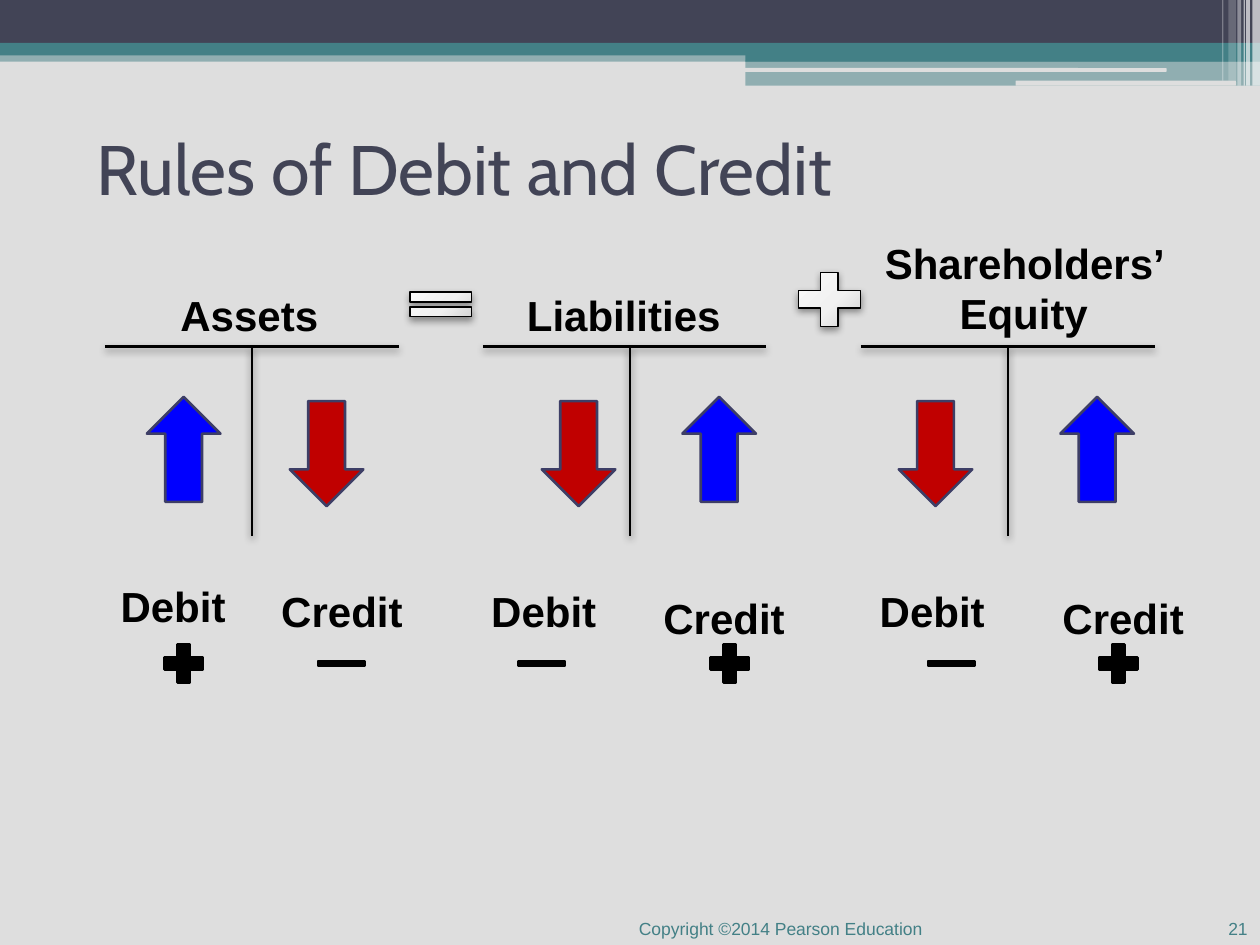
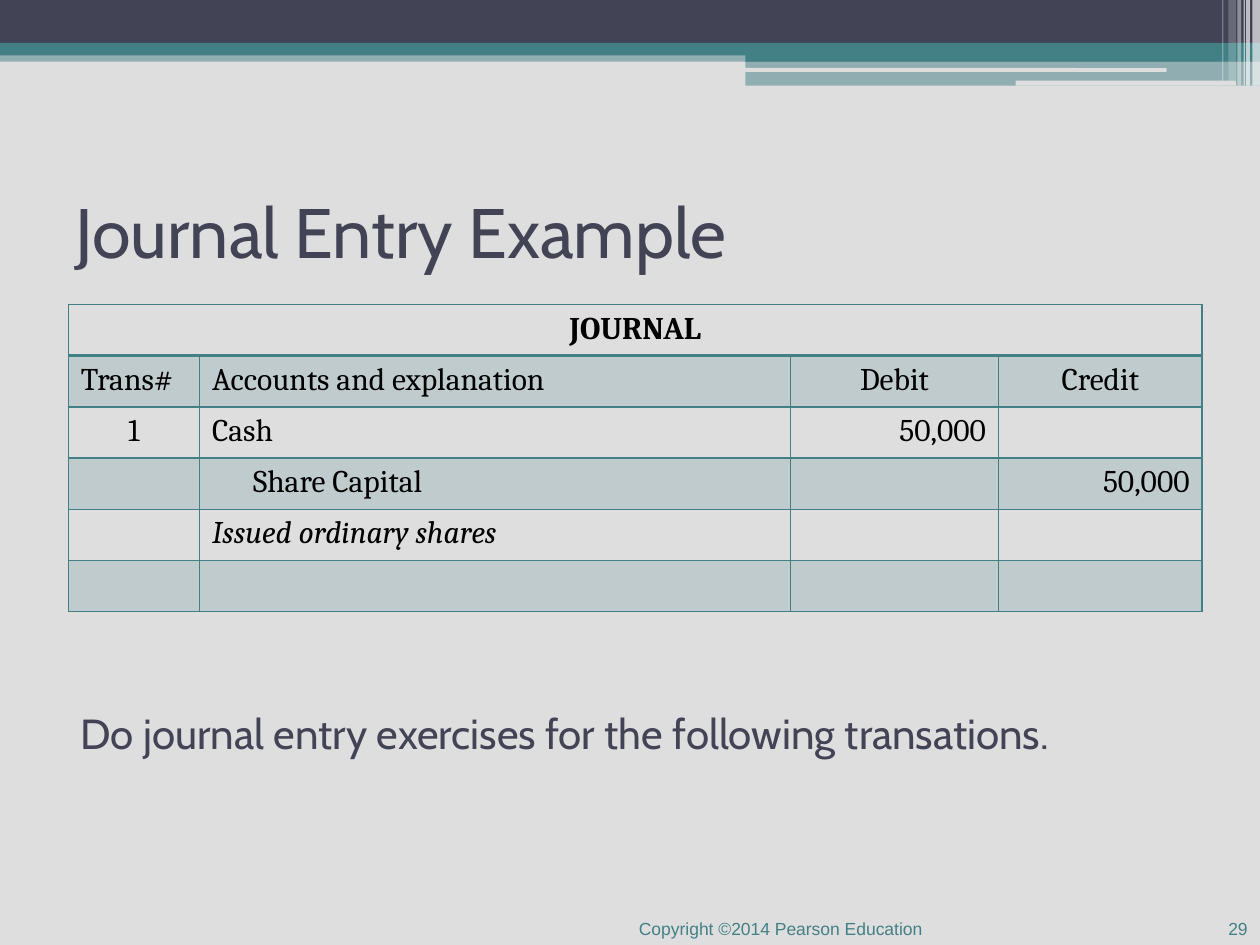
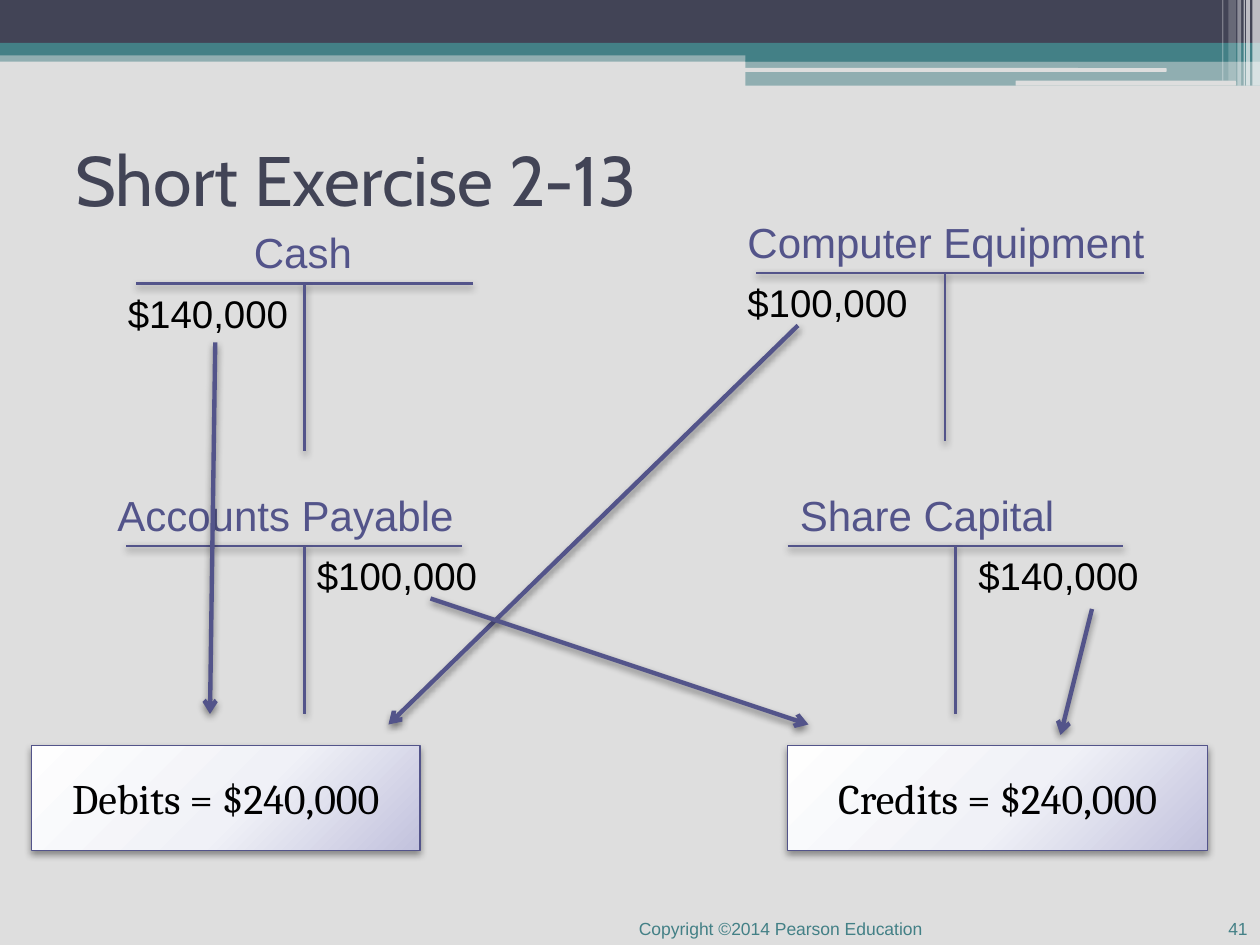
from typing import NamedTuple, Optional

from lxml import etree
from pptx import Presentation
from pptx.dml.color import RGBColor
from pptx.enum.shapes import MSO_CONNECTOR, MSO_SHAPE
from pptx.enum.text import MSO_ANCHOR, PP_ALIGN
from pptx.oxml.ns import qn
from pptx.util import Emu, Inches, Pt

RECT, ROUND_RECT = MSO_SHAPE.RECTANGLE, MSO_SHAPE.ROUNDED_RECTANGLE
UP_ARROW = MSO_SHAPE.UP_ARROW
PLUS, MINUS, EQUAL = MSO_SHAPE.MATH_PLUS, MSO_SHAPE.MATH_MINUS, MSO_SHAPE.MATH_EQUAL
STRAIGHT = MSO_CONNECTOR.STRAIGHT
LEFT, CENTER, RIGHT = PP_ALIGN.LEFT, PP_ALIGN.CENTER, PP_ALIGN.RIGHT
TOP, MIDDLE, BOTTOM = MSO_ANCHOR.TOP, MSO_ANCHOR.MIDDLE, MSO_ANCHOR.BOTTOM

# The slide is a grid of 120 columns by 90 rows, each cell 1/12 inch square.
CELL = Inches(1) / 12
COLS, ROWS = 120, 90

PAPER, NAVY, TEAL, VIOLET = "DEDEDE", "424456", "438086", "53548A"
BLACK, WHITE, BLUE, RED, ARROW_EDGE = "000000", "FFFFFF", "0000FF", "C00000", "3D3E66"
GREY_GLOW = ("FEFEFE", "F1F1F1", "C5C5C5")
VIOLET_GLOW = ("FEFEFE", "F0F1F7", "C2C2DD")


class Box(NamedTuple):
    x: float
    y: float
    w: float
    h: float


class Style(NamedTuple):
    size: float
    color: str = BLACK
    font: str = "Arial"
    bold: bool = False
    italic: bool = False
    align: PP_ALIGN = LEFT
    anchor: MSO_ANCHOR = TOP


class Band(NamedTuple):
    box: Box
    color: str
    alpha: int = 100
    kind: MSO_SHAPE = RECT


class TAccount(NamedTuple):
    name: str
    left: float
    right: float
    top: float
    stem_x: float
    label_x: float
    label_cols: float
    label_rows: float = 6
    align: PP_ALIGN = LEFT


class Side(NamedTuple):
    """One half of a T-account: its arrow, its label and the sign below."""
    label: str
    rises: bool
    arrow_x: float
    label_x: float
    sign_x: float
    label_y: float


class Entry(NamedTuple):
    text: str = ""
    align: PP_ALIGN = LEFT
    bold: bool = False
    italic: bool = False
    indent: float = 0


TITLE = Style(40, NAVY, "Cabin", anchor=MIDDLE)
FOOTER = Style(10, TEAL, align=RIGHT, anchor=BOTTOM)
LABEL = Style(24, bold=True)

BANDS = [
    Band(Box(0, 4.8, COLS, 1.08), TEAL, 50),
    Band(Box(0, 0, COLS, 4.08), NAVY),
    Band(Box(0, 4.08, COLS, 1.2), TEAL),
    Band(Box(71, 4.68, 49, 1.2), TEAL),
    Band(Box(71, 5.76, 49, 2.4), TEAL, 50),
    Band(Box(70.9, 6.48, 40.2, 0.36), PAPER, kind=ROUND_RECT),
    Band(Box(96.72, 7.68, 21, 0.48), PAPER, kind=ROUND_RECT),
    *(Band(Box(x, 0, w, h), WHITE, alpha) for x, w, h, alpha in [
        (119.28, 0.72, 8.16, 65), (118.68, 0.36, 8.16, 65), (118.44, 0.12, 8.16, 60),
        (117.84, 0.36, 8.16, 40), (117, 0.72, 7.68, 20), (116.4, 0.12, 7.68, 30)]),
]

EQUATION = [
    TAccount("Assets", 10, 38, 33, 24, 16, 17),
    TAccount("Liabilities", 46, 73, 33, 60, 49, 21),
    TAccount("Shareholders’ Equity", 82, 110, 33, 96, 82, 31, 11, CENTER),
]
SIDES = [
    Side("Debit", True, 14, 10.3, 15, 54.7),
    Side("Credit", False, 27.6, 25.6, 29.5, 55.2),
    Side("Debit", False, 51.6, 45.6, 48.6, 55.2),
    Side("Credit", True, 65, 62, 67, 55.8),
    Side("Debit", False, 85.6, 82.6, 87.6, 55.2),
    Side("Credit", True, 101, 100, 104, 55.8),
]

JOURNAL_COLS = (12.5, 56.3, 19.8, 19.4)
JOURNAL_ROW = 4.88
JOURNAL = [
    [Entry("JOURNAL", CENTER, bold=True), Entry(), Entry(), Entry()],
    [Entry("Trans#"), Entry("Accounts and explanation"),
     Entry("Debit", CENTER), Entry("Credit", CENTER)],
    [Entry("1", CENTER), Entry("Cash"), Entry("50,000", RIGHT), Entry()],
    [Entry(), Entry("Share Capital", indent=3.9), Entry(), Entry("50,000", RIGHT)],
    [Entry(), Entry("Issued ordinary shares", italic=True), Entry(), Entry()],
    [Entry()] * 4,
]

EXERCISE = [
    (TAccount("Cash", 13, 45, 27, 29, 23, 13), "$140,000", 11),
    (TAccount("Computer Equipment", 72, 109, 26, 90, 70, 46), "$100,000", 70),
    (TAccount("Accounts Payable", 12, 44, 52, 29, 10, 37), "$100,000", 29),
    (TAccount("Share Capital", 75, 107, 52, 91, 75, 32), "$140,000", 92),
]
TOTALS = [("Debits = $240,000", Box(3, 71, 37, 10)), ("Credits = $240,000", Box(75, 71, 40, 10))]
FLOWS = [((20.5, 32.6), (20, 68)), ((76, 31), (37, 69)),
         ((41, 57), (77, 69)), ((104, 58), (101, 70))]


def cells(n: float) -> Emu:
    return Emu(round(n * CELL))


def place(box: Box) -> list[Emu]:
    return [cells(n) for n in box]


def rgb(color: str) -> RGBColor:
    return RGBColor.from_string(color)


def add_node(parent, tag: str, **attrs):
    return etree.SubElement(parent, qn(tag), {k: str(v) for k, v in attrs.items()})


def paint(fill, owner, color: str, alpha: int = 100) -> None:
    """Fill with a solid colour; owner is the XML element that holds the fill."""
    fill.solid()
    fill.fore_color.rgb = rgb(color)
    if alpha < 100:
        add_node(owner.find(".//" + qn("a:srgbClr")), "a:alpha", val=alpha * 1000)


def paint_glow(sp, colors: tuple[str, ...]) -> None:
    """Radial gradient that darkens towards the lower right corner."""
    grad = etree.Element(qn("a:gradFill"), rotWithShape="1")
    stops = add_node(grad, "a:gsLst")
    for pos, color in zip((0, 55, 100), colors):
        add_node(add_node(stops, "a:gs", pos=pos * 1000), "a:srgbClr", val=color)
    radial = add_node(grad, "a:path", path="circle")
    add_node(radial, "a:fillToRect", l=-40000, t=-90000, r=140000, b=190000)
    sp.element.spPr.find(qn("a:prstGeom")).addnext(grad)


def drop_shadow(sp, alpha: int = 40) -> None:
    spPr = sp.element.spPr
    effects = spPr.find(qn("a:effectLst"))
    if effects is None:
        effects = add_node(spPr, "a:effectLst")
    shadow = add_node(effects, "a:outerShdw", blurRad=Pt(4.1), dist=Pt(2), dir=90 * 60000,
                      algn="ctr", rotWithShape=0)
    add_node(add_node(shadow, "a:srgbClr", val=BLACK), "a:alpha", val=alpha * 1000)


def add_figure(slide, kind: MSO_SHAPE, box: Box, fill: str | tuple[str, ...],
               edge: Optional[str] = None, width: float = 1.5, alpha: int = 100):
    """Preset shape; a tuple of colours gives a glowing fill and a shadow."""
    sp = slide.shapes.add_shape(kind, *place(box))
    sp.shadow.inherit = False
    if isinstance(fill, tuple):
        paint_glow(sp, fill)
        drop_shadow(sp)
    else:
        paint(sp.fill, sp.element.spPr, fill, alpha)
    if edge:
        sp.line.color.rgb = rgb(edge)
        sp.line.width = Pt(width)
    else:
        sp.line.fill.background()
    return sp


def add_line(slide, start: tuple[float, float], end: tuple[float, float], color: str,
             width: float = 1.5, arrow: bool = False) -> None:
    line = slide.shapes.add_connector(STRAIGHT, *(cells(n) for n in (*start, *end)))
    line.line.color.rgb = rgb(color)
    line.line.width = Pt(width)
    if arrow:
        add_node(line.element.spPr.find(qn("a:ln")), "a:tailEnd", type="arrow")
    drop_shadow(line, 45 if arrow else 40)


def write(tf, text: str, style: Style) -> None:
    tf.word_wrap = True
    tf.vertical_anchor = style.anchor
    p = tf.paragraphs[0]
    p.alignment = style.align
    r = p.add_run()
    r.text = text
    r.font.size, r.font.name = Pt(style.size), style.font
    r.font.bold, r.font.italic = style.bold, style.italic
    r.font.color.rgb = rgb(style.color)


def add_text(slide, box: Box, text: str, style: Style) -> None:
    write(slide.shapes.add_textbox(*place(box)).text_frame, text, style)


def add_t_account(slide, account: TAccount, stem: float, color: str, bold: bool) -> None:
    a = account
    add_line(slide, (a.left, a.top), (a.right, a.top), color)
    add_line(slide, (a.stem_x, a.top), (a.stem_x, a.top + stem), color)
    add_text(slide, Box(a.label_x, a.top - a.label_rows, a.label_cols, a.label_rows), a.name,
             Style(24, color, bold=bold, align=a.align))


def move_bands_to_layout(slide, layout) -> None:
    """Draw the header bands, then hand them to the layout, behind its placeholders."""
    for i, band in enumerate(BANDS):
        sp = add_figure(slide, band.kind, band.box, band.color, alpha=band.alpha)
        sp.element.nvSpPr.cNvPr.id = 100 + i
        layout.shapes.element.insert(2 + i, sp.element)


def new_slide(prs, title: str, title_x: float, title_y: float, number: int):
    slide = prs.slides.add_slide(prs.slide_layouts.get_by_name("Title Only"))
    sp = slide.shapes.title
    sp.left, sp.top, sp.width, sp.height = place(Box(title_x, title_y, 108, 14))
    write(sp.text_frame, title, TITLE)
    add_text(slide, Box(32, 86, 57, 4), "Copyright ©2014 Pearson Education", FOOTER)
    add_text(slide, Box(110, 85.2, 10, 4.8), str(number), FOOTER)
    return slide


def draw_rules(slide) -> None:
    for account in EQUATION:
        add_t_account(slide, account, 18, BLACK, True)
    add_figure(slide, EQUAL, Box(38, 27, 8, 4), GREY_GLOW, BLACK, 0.75)
    add_figure(slide, PLUS, Box(75, 25, 8, 7), GREY_GLOW, BLACK, 0.75)
    for side in SIDES:
        arrow = add_figure(slide, UP_ARROW, Box(side.arrow_x, 37.8 if side.rises else 38.2, 7, 10),
                           BLUE if side.rises else RED, ARROW_EDGE)
        add_text(slide, Box(side.label_x, side.label_y, 15, 6), side.label, LABEL)
        if side.rises:
            add_figure(slide, PLUS, Box(side.sign_x, 60.7, 5, 5), BLACK, BLACK)
        else:
            arrow.rotation = 180
            add_figure(slide, MINUS, Box(side.sign_x, 62.2, 6, 2), BLACK, BLACK)


def set_borders(cell, top: float, bottom: float) -> None:
    tcPr = cell._tc.get_or_add_tcPr()
    edges = (("a:lnL", 1), ("a:lnR", 1), ("a:lnT", top), ("a:lnB", bottom))
    for i, (tag, width) in enumerate(edges):
        ln = etree.Element(qn(tag), w=str(Pt(width)))
        add_node(add_node(ln, "a:solidFill"), "a:srgbClr", val=TEAL)
        tcPr.insert(i, ln)


def draw_journal(slide) -> None:
    box = Box(6.5, 29, sum(JOURNAL_COLS), JOURNAL_ROW * len(JOURNAL))
    table = slide.shapes.add_table(len(JOURNAL), len(JOURNAL_COLS), *place(box)).table
    table.first_row = table.horz_banding = False
    for column, width in zip(table.columns, JOURNAL_COLS):
        column.width = cells(width)
    for i, entries in enumerate(JOURNAL):
        table.rows[i].height = cells(JOURNAL_ROW)
        for j, entry in enumerate(entries):
            cell = table.cell(i, j)
            if i % 2:
                paint(cell.fill, cell._tc.get_or_add_tcPr(), TEAL, 20)
            else:
                cell.fill.background()
            set_borders(cell, 2 if i == 1 else 1, 2 if i == 0 else 1)
            if entry.text:
                write(cell.text_frame, entry.text,
                      Style(18, BLACK, "Cambria", entry.bold, entry.italic, entry.align))
            if entry.indent:
                pPr = cell.text_frame.paragraphs[0]._p.get_or_add_pPr()
                pPr.set("marL", str(cells(entry.indent)))
    table.cell(0, 0).merge(table.cell(0, len(JOURNAL_COLS) - 1))
    add_text(slide, Box(6.5, 62.8, 113.5, 14),
             "Do journal entry exercises for the following transations.",
             TITLE._replace(size=24))


def draw_exercise(slide) -> None:
    for account, amount, x in EXERCISE:
        add_t_account(slide, account, 16, VIOLET, False)
        add_text(slide, Box(x, account.top, 19, 5.6), amount, Style(22))
    for text, box in TOTALS:
        sp = add_figure(slide, RECT, box, VIOLET_GLOW, VIOLET, 0.75)
        write(sp.text_frame, text, Style(24, font="Cambria", align=CENTER, anchor=MIDDLE))
    for start, end in FLOWS:
        add_line(slide, start, end, VIOLET, 2.5, arrow=True)


def main() -> None:
    prs = Presentation()
    prs.slide_width, prs.slide_height = cells(COLS), cells(ROWS)
    background = prs.slide_master.background.fill
    background.solid()
    background.fore_color.rgb = rgb(PAPER)

    rules = new_slide(prs, "Rules of Debit and Credit", 8, 9, 21)
    move_bands_to_layout(rules, rules.slide_layout)
    draw_rules(rules)
    draw_journal(new_slide(prs, "Journal Entry Example", 6, 15, 29))
    draw_exercise(new_slide(prs, "Short Exercise 2-13", 6, 10, 41))
    prs.save("out.pptx")


if __name__ == "__main__":
    main()
